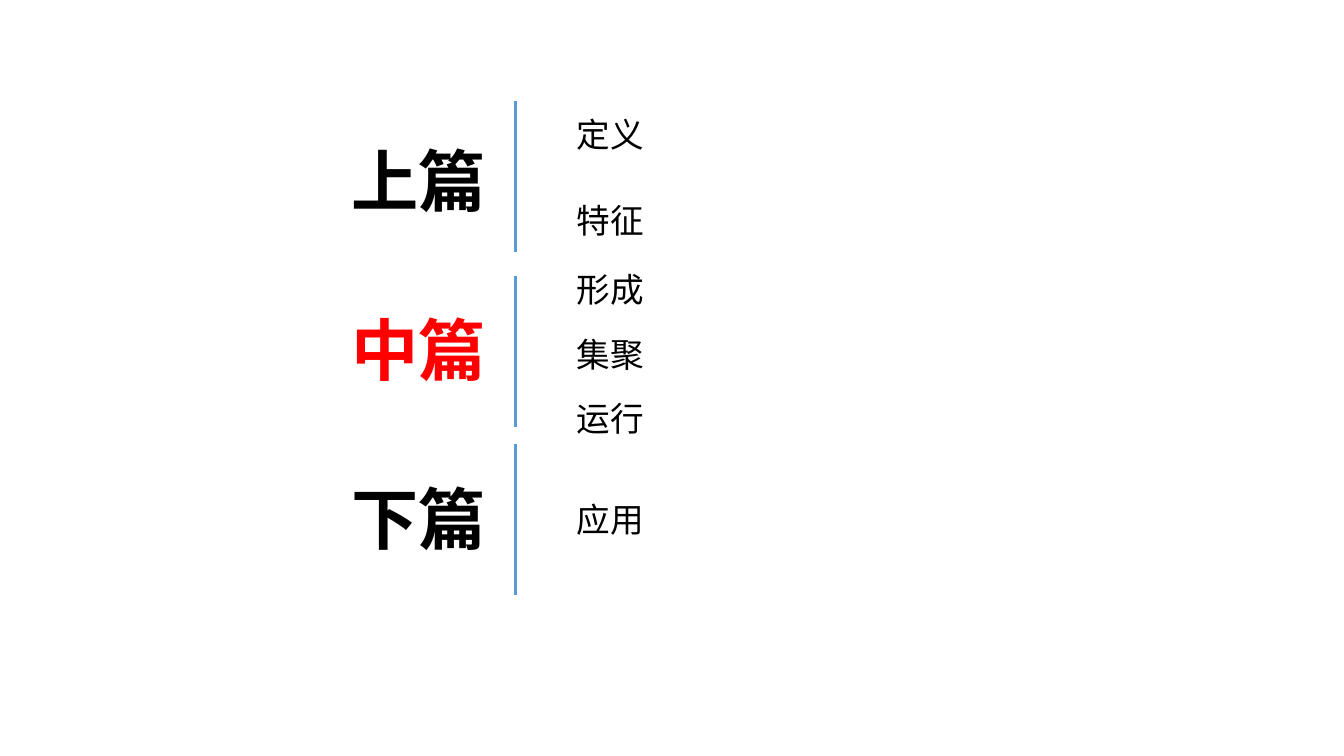
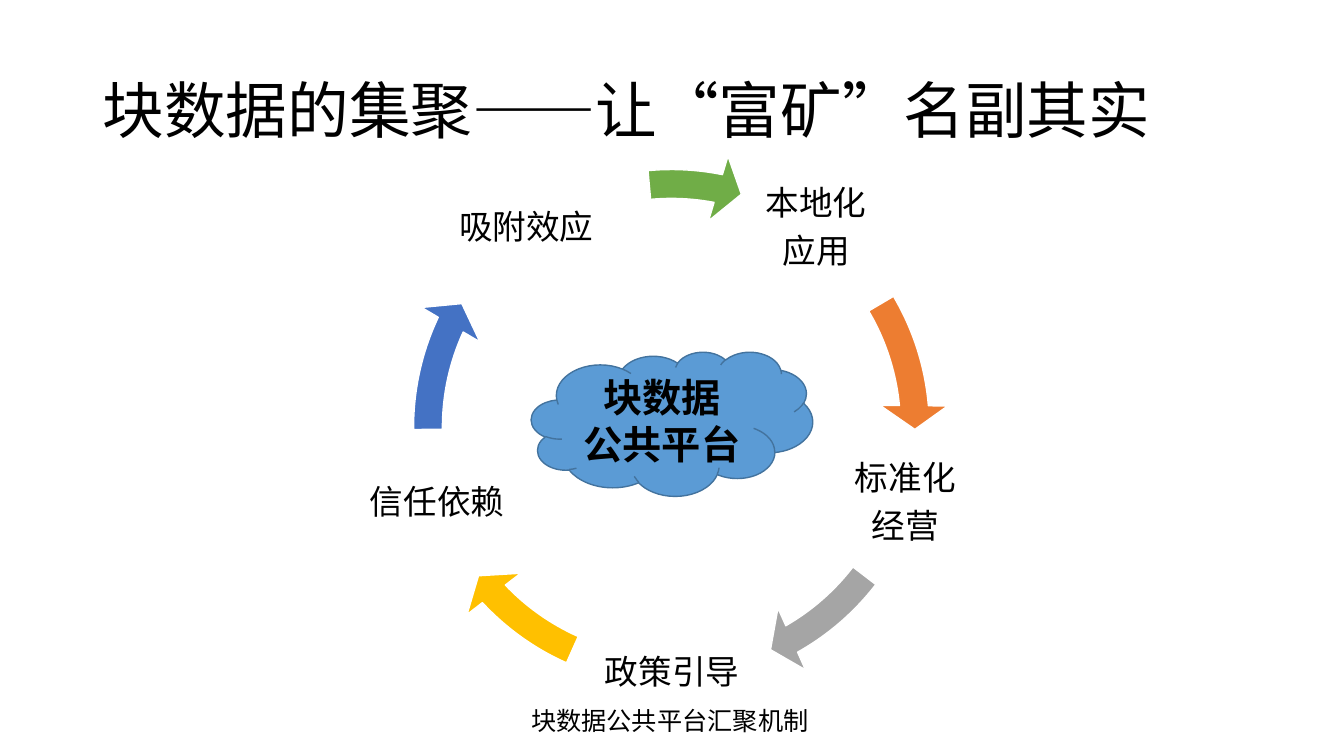
from lxml import etree
from pptx import Presentation
from pptx.dml.color import RGBColor
from pptx.enum.lang import MSO_LANGUAGE_ID
from pptx.enum.shapes import MSO_CONNECTOR, MSO_SHAPE
from pptx.enum.text import MSO_ANCHOR, MSO_AUTO_SIZE, PP_ALIGN
from pptx.oxml.ns import qn
from pptx.util import Pt

CHINESE = MSO_LANGUAGE_ID.SIMPLIFIED_CHINESE
STRAIGHT = MSO_CONNECTOR.STRAIGHT
CIRCULAR_ARROW, CLOUD = MSO_SHAPE.CIRCULAR_ARROW, MSO_SHAPE.CLOUD
TOP, MIDDLE = MSO_ANCHOR.TOP, MSO_ANCHOR.MIDDLE
GROW, FIXED = MSO_AUTO_SIZE.SHAPE_TO_FIT_TEXT, MSO_AUTO_SIZE.NONE
LEFT, CENTER = PP_ALIGN.LEFT, PP_ALIGN.CENTER

EMU_PER_PX = 9144  # 100 px to the inch
FONT = "Calibri"
COLORS = {
    "text": "000000", "highlight": "FF0000", "white": "FFFFFF",
    "blue": "5B9BD5", "cloud_edge": "43739E",
    "orange": "ED7D31", "gray": "A5A5A5", "gold": "FFC000",
    "indigo": "4472C4", "green": "70AD47",
}


def px(value):
    return value * EMU_PER_PX


def rgb(name):
    return RGBColor.from_string(COLORS[name])


def write_lines(shape, lines, size, color="text", bold=False, align=LEFT,
                spacing=None, after=None):
    frame = shape.text_frame
    frame.word_wrap = True
    for index, line in enumerate(lines):
        paragraph = frame.paragraphs[0] if index == 0 else frame.add_paragraph()
        paragraph.alignment = align
        if spacing is not None:
            paragraph.line_spacing = spacing
        if after is not None:
            paragraph.space_after = Pt(after)
        run = paragraph.add_run()
        run.text = line
        font = run.font
        font.name, font.size, font.bold = FONT, Pt(size), bold
        font.color.rgb = rgb(color)
        font.language_id = CHINESE


def add_text(slide, box, lines, size, anchor=TOP, auto_size=GROW, inset=None,
             **style):
    shape = slide.shapes.add_textbox(*map(px, box))
    write_lines(shape, lines, size, **style)
    frame = shape.text_frame
    frame.vertical_anchor, frame.auto_size = anchor, auto_size
    if inset is not None:
        frame.margin_left = frame.margin_right = px(inset)
        frame.margin_top = frame.margin_bottom = px(inset)


def add_shape(slide, kind, box, fill, edge):
    shape = slide.shapes.add_shape(kind, *map(px, box))
    shape.shadow.inherit = False
    shape.fill.solid()
    shape.fill.fore_color.rgb = rgb(fill)
    shape.line.color.rgb = rgb(edge)
    shape.line.width = Pt(1)
    return shape


def add_divider(slide, x, top, height):
    line = slide.shapes.add_connector(
        STRAIGHT, px(x), px(top), px(x), px(top + height))
    line.line.color.rgb = rgb("blue")
    line.line.width = Pt(2)
    etree.SubElement(line._element.spPr, qn("a:effectLst"))


def add_cycle_arrow(slide, start, end, fill):
    """Draw one arc of the ring, from start to end in degrees."""
    arrow = add_shape(slide, CIRCULAR_ARROW, (391, 149, 550, 550), fill, "white")
    # Angles are stored in 60000ths of a degree, adjustments in 100000ths
    values = (0.052, 5.6 * 0.6, end * 0.6, start * 0.6, 0.061)
    for index, value in enumerate(values):
        arrow.adjustments[index] = value


def add_cycle_label(slide, left, top, width, lines):
    add_text(slide, (left, top, width, 147), lines, 24, anchor=MIDDLE,
             auto_size=FIXED, inset=3, align=CENTER, spacing=0.9, after=8.4)


def build_outline(slide):
    # Part name, colour, divider top, topics with their tops
    parts = [
        ("上篇", "text", 100, [("定义", 108), ("特征", 193)]),
        ("中篇", "highlight", 274, [("形成", 262), ("集聚", 326), ("运行", 390)]),
        ("下篇", "text", 440, [("应用", 490)]),
    ]
    for index, (name, color, divider_top, topics) in enumerate(parts):
        add_text(slide, (339, 133 + 168 * index, 172, 91), [name], 48,
                 color=color, bold=True)
        add_divider(slide, 511, divider_top, 150)
        for topic, top in topics:
            add_text(slide, (562, top, 93, 50), [topic], 24)


def build_cycle(slide):
    add_text(slide, (92, 40, 1150, 145), ["块数据的集聚——让“富矿”名副其实"], 44,
             anchor=MIDDLE, auto_size=FIXED, spacing=0.9)

    # Each step: label place and lines, then the arrow that leaves it
    steps = [
        (736, 153, 147, ["本地化", "应用"], 329.45, 354.88, "orange"),
        (828, 426, 140, ["标准化", "经营"], 37.57, 60.39, "gray"),
        (567, 595, 199, ["政策引导"], 114.01, 136.83, "gold"),
        (319, 426, 229, ["信任依赖"], 179.52, 204.96, "indigo"),
        (401, 153, 242, ["吸附效应"], 264.79, 281.09, "green"),
    ]
    for left, top, width, lines, start, end, fill in steps:
        add_cycle_label(slide, left, top, width, lines)
        add_cycle_arrow(slide, start, end, fill)

    # Centre and caption
    cloud = add_shape(slide, CLOUD, (527, 349, 279, 143), "blue", "cloud_edge")
    write_lines(cloud, ["块数据", "公共平台"], 28, bold=True, align=CENTER)
    cloud.text_frame.vertical_anchor = MIDDLE
    add_text(slide, (517, 695, 307, 40), ["块数据公共平台汇聚机制"], 18)


def main():
    presentation = Presentation()
    presentation.slide_width, presentation.slide_height = px(1333), px(750)
    blank = presentation.slide_layouts[6]
    for build in (build_outline, build_cycle):
        build(presentation.slides.add_slide(blank))
    presentation.save("out.pptx")


if __name__ == "__main__":
    main()
